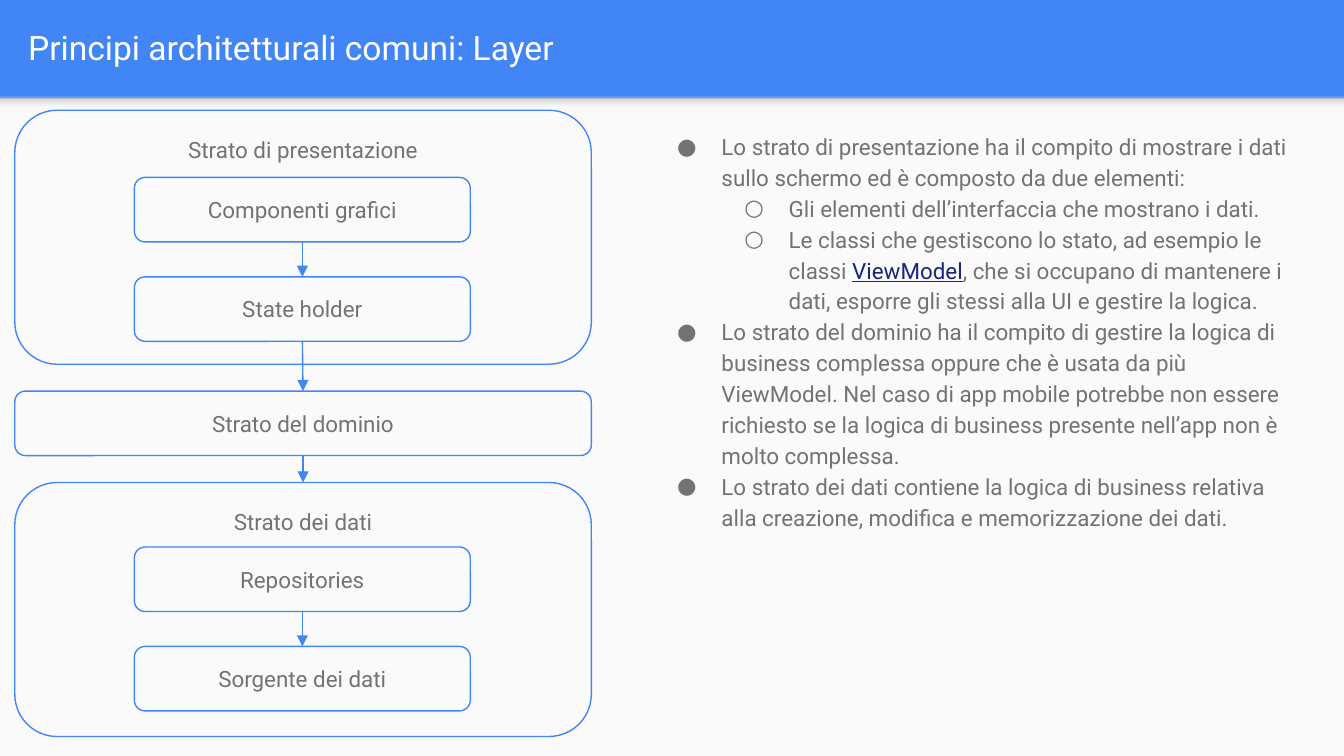
from lxml import etree
from pptx import Presentation
from pptx import util as u
from pptx.dml.color import RGBColor
from pptx.enum import shapes, text
from pptx.oxml.ns import qn

THEME = dict(
    font="Roboto", title=18, body=12, line=0.75,
    blue="4285F4", paper="FAFAFA", white="FFFFFF", grey="737373", link="1A237E",
    shade=[(0, "F9F9F9"), (36, "F9F9F9"), (80, "DEDEDE"), (100, "999999")],
)
SLIDE_W = 10
SLIDE_H = SLIDE_W * 9 / 16
HEADER_H = 0.72
TITLE = "Principi architetturali comuni: Layer"
WIDE, NARROW = (0.11, 4.29), (1, 2.5)
FRAME_H, BOX_H = 1.89, 0.48
LAYERS = [
    ("Strato di presentazione", 0.82, [("Componenti grafici", 1.32), ("State holder", 2.06)]),
    ("Strato del dominio", 2.91, []),
    ("Strato dei dati", 3.59, [("Repositories", 4.07), ("Sorgente dei dati", 4.81)]),
]
ARROWS = [
    ("Componenti grafici", "State holder"),
    ("State holder", "Strato del dominio"),
    ("Strato del dominio", "Strato dei dati"),
    ("Repositories", "Sorgente dei dati"),
]
NOTES = [
    (0, ["Lo strato di presentazione ha il compito di mostrare i dati sullo schermo "
         "ed è composto da due elementi:"]),
    (1, ["Gli elementi dell’interfaccia che mostrano i dati."]),
    (1, ["Le classi che gestiscono lo stato, ad esempio le classi ", ("ViewModel", "link"),
         ", che si occupano di mantenere i dati, esporre gli stessi alla UI e gestire la logica."]),
    (0, ["Lo strato del dominio ha il compito di gestire la logica di business complessa "
         "oppure che è usata da più ViewModel. Nel caso di app mobile potrebbe non essere "
         "richiesto se la logica di business presente nell’app non è molto complessa."]),
    (0, ["Lo strato dei dati contiene la logica di business relativa alla creazione, "
         "modifica e memorizzazione dei dati."]),
]


def rgb(name):
    return RGBColor.from_string(THEME.get(name, name))


def place(sp, *box):
    sp.left, sp.top, sp.width, sp.height = map(u.Inches, box)


def add_bullet(p, level):
    p.level = level
    pPr = p._p.get_or_add_pPr()
    pPr.set("marL", str(u.Inches(0.5 * (level + 1))))
    pPr.set("indent", str(u.Inches(-0.33)))
    clr = etree.SubElement(pPr, qn("a:buClr"))
    etree.SubElement(clr, qn("a:srgbClr"), val=THEME["grey"])
    etree.SubElement(pPr, qn("a:buSzPts"), val=str(THEME["body"] * 100))
    etree.SubElement(pPr, qn("a:buFont"), typeface=THEME["font"])
    etree.SubElement(pPr, qn("a:buChar"), char="●○"[level])


def write(tf, paragraphs, size="body", color="grey", align=text.PP_ALIGN.LEFT,
          anchor=text.MSO_ANCHOR.TOP, spacing=None, bullets=False):
    tf.word_wrap = True
    tf.auto_size = text.MSO_AUTO_SIZE.NONE
    tf.vertical_anchor = anchor
    tf.margin_left = tf.margin_right = tf.margin_top = tf.margin_bottom = u.Inches(0.1)
    for i, (level, runs) in enumerate(paragraphs):
        p = tf.add_paragraph() if i else tf.paragraphs[0]
        if bullets:
            add_bullet(p, level)
        p.alignment = align
        p.line_spacing = spacing
        for run in runs:
            words, tone = (run, color) if isinstance(run, str) else run
            r = p.add_run()
            r.text = words
            r.font.name = THEME["font"]
            r.font.size = u.Pt(THEME[size])
            r.font.color.rgb = rgb(tone)
            if tone == "link":
                r.font.underline = True


def add_rect(s, *box):
    sp = s.shapes.add_shape(shapes.MSO_SHAPE.RECTANGLE, *map(u.Inches, box))
    sp.shadow.inherit = False
    sp.line.fill.background()
    return sp


def add_box(s, label, span, top, height, anchor):
    sp = s.shapes.add_shape(shapes.MSO_SHAPE.ROUNDED_RECTANGLE,
                            *map(u.Inches, (span[0], top, span[1], height)))
    sp.shadow.inherit = False
    sp.fill.background()
    sp.line.color.rgb = rgb("blue")
    sp.line.width = u.Pt(THEME["line"])
    write(sp.text_frame, [(0, [label])], align=text.PP_ALIGN.CENTER, anchor=anchor)
    return sp


def add_arrow(s, start, end):
    c = s.shapes.add_connector(shapes.MSO_CONNECTOR.STRAIGHT, 0, 0, 0, 0)
    c.begin_connect(start, 2)
    c.end_connect(end, 0)
    c.line.color.rgb = rgb("blue")
    c.line.width = u.Pt(THEME["line"])
    etree.SubElement(c.line._get_or_add_ln(), qn("a:tailEnd"), type="triangle")
    etree.SubElement(c._element.spPr, qn("a:effectLst"))


def add_shade(s):
    sp = add_rect(s, 0, HEADER_H, SLIDE_W, 0.12)
    sp.fill.gradient()
    sp.fill.gradient_angle = 90
    stops = sp._element.spPr.find(".//" + qn("a:gsLst"))
    for gs in list(stops):
        stops.remove(gs)
    for pos, color in THEME["shade"]:
        gs = etree.SubElement(stops, qn("a:gs"), pos=str(pos * 1000))
        etree.SubElement(gs, qn("a:srgbClr"), val=color)


def main():
    prs = Presentation()
    prs.slide_width, prs.slide_height = u.Inches(SLIDE_W), u.Inches(SLIDE_H)
    s = prs.slides.add_slide(prs.slide_layouts[5])
    s.background.fill.solid()
    s.background.fill.fore_color.rgb = rgb("blue")

    place(s.shapes.title, 0.11, 0.02, 9.65, 0.66)
    write(s.shapes.title.text_frame, [(0, [TITLE])], size="title", color="white",
          anchor=text.MSO_ANCHOR.MIDDLE)

    paper = add_rect(s, 0, HEADER_H, SLIDE_W, SLIDE_H - HEADER_H)
    paper.fill.solid()
    paper.fill.fore_color.rgb = rgb("paper")
    add_shade(s)

    boxes = {}
    middle = text.MSO_ANCHOR.MIDDLE
    for label, top, parts in LAYERS:
        height, anchor = (FRAME_H, text.MSO_ANCHOR.TOP) if parts else (BOX_H, middle)
        boxes[label] = add_box(s, label, WIDE, top, height, anchor)
        for part, part_top in parts:
            boxes[part] = add_box(s, part, NARROW, part_top, BOX_H, middle)
    for start, end in ARROWS:
        add_arrow(s, boxes[start], boxes[end])

    notes = s.shapes.add_textbox(*map(u.Inches, (4.77, 0.86, 5.03, 4.62)))
    write(notes.text_frame, NOTES, spacing=1.15, bullets=True)
    prs.save("out.pptx")


if __name__ == "__main__":
    main()
